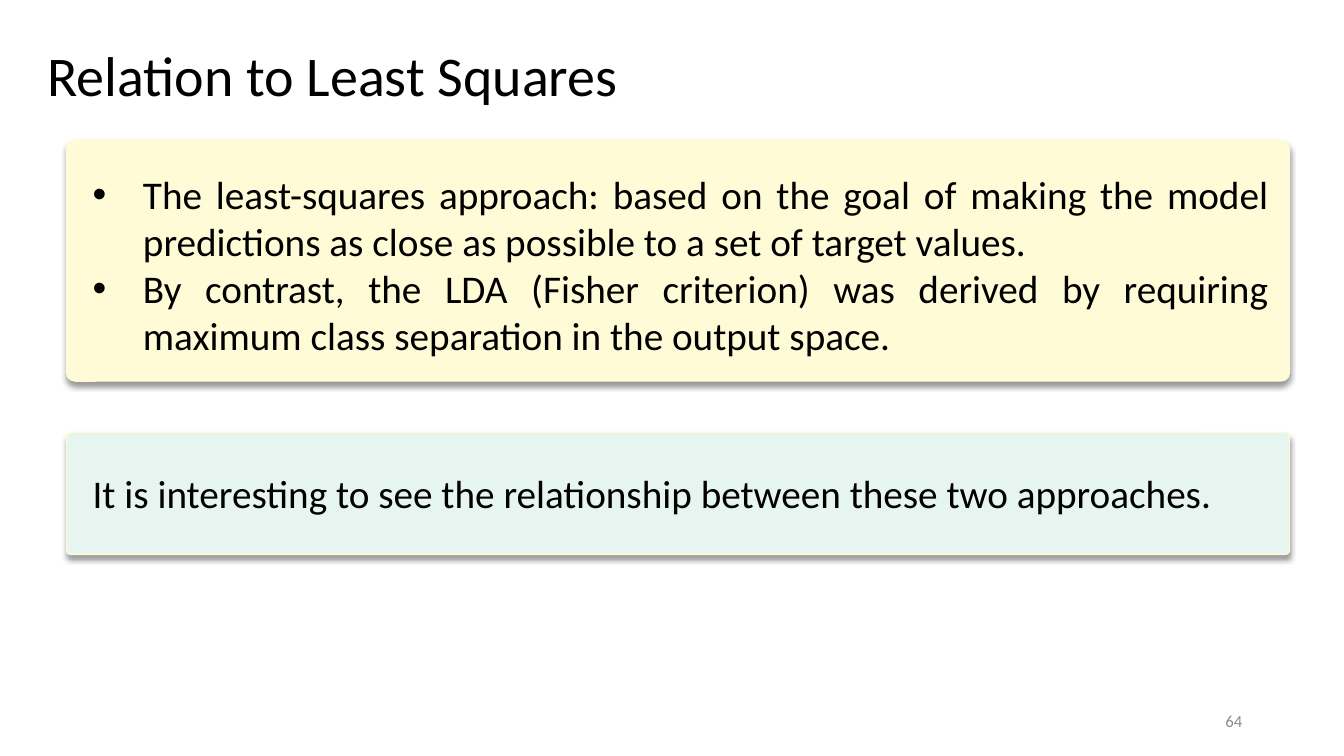
import pptx
import pptx.util
import pptx.oxml
import pptx.oxml.ns
import pptx.dml.color
import pptx.enum.shapes
import pptx.enum.text
from lxml import etree

Inches = pptx.util.Inches
Align = pptx.enum.text.PP_ALIGN
Anchor = pptx.enum.text.MSO_ANCHOR
COLORS = {"text": "000000", "number": "8C8C8C", "yellow": "FFFBD6", "mint": "E6F5F0"}
SHADOW = (
    '<a:outerShdw xmlns:a="http://schemas.openxmlformats.org/drawingml/2006/main" '
    'blurRad="50800" dist="38100" dir="5400000" algn="t" rotWithShape="0">'
    '<a:srgbClr val="000000"><a:alpha val="40000"/></a:srgbClr></a:outerShdw>'
)


def color(name):
    return pptx.dml.color.RGBColor.from_string(COLORS[name])


def format_paragraph(paragraph, size, color_name, alignment):
    paragraph.alignment = alignment
    for run in paragraph.runs:
        run.font.name = "Calibri"
        run.font.size = pptx.util.Pt(size)
        run.font.color.rgb = color(color_name)


presentation = pptx.Presentation()
presentation.slide_width = Inches(13.33)
presentation.slide_height = Inches(7.5)
slide = presentation.slides.add_slide(presentation.slide_layouts[5])

# Title
title = slide.shapes.title
title.left, title.top = Inches(0.37), Inches(0.35)
title.width, title.height = Inches(5.88), Inches(0.77)
title.text_frame.text = "Relation to Least Squares"
title.text_frame.word_wrap = False
title.text_frame.auto_size = pptx.enum.text.MSO_AUTO_SIZE.NONE
title.text_frame.vertical_anchor = Anchor.TOP
format_paragraph(title.text_frame.paragraphs[0], 40, "text", Align.LEFT)

# Panels: fill, top, height, then text top, width, height, bulleted, lines
panels = [
    ("yellow", 1.39, 2.39, 1.64, 11.86, 1.99, True, [
        "The least-squares approach: based on the goal of making the model "
        "predictions as close as possible to a set of target values. ",
        "By contrast, the LDA (Fisher criterion) was derived by requiring "
        "maximum class separation in the output space.",
    ]),
    ("mint", 4.29, 1.21, 4.61, 12.67, 0.57, False, [
        "It is interesting to see the relationship between these two approaches.",
    ]),
]
for fill, top, height, text_top, text_width, text_height, bulleted, lines in panels:
    panel = slide.shapes.add_shape(
        pptx.enum.shapes.MSO_SHAPE.ROUNDED_RECTANGLE,
        Inches(0.66), Inches(top), Inches(12.13), Inches(height))
    panel.adjustments[0] = 0.036
    panel.fill.solid()
    panel.fill.fore_color.rgb = color(fill)
    panel.line.color.rgb = color("yellow")
    panel.line.width = pptx.util.Pt(1)
    panel.shadow.inherit = False
    effects = panel._element.spPr.find(pptx.oxml.ns.qn("a:effectLst"))
    effects.append(pptx.oxml.parse_xml(SHADOW))

    text_box = slide.shapes.add_textbox(
        Inches(0.82), Inches(text_top), Inches(text_width), Inches(text_height))
    text_box.text_frame.word_wrap = True
    text_box.text_frame.text = "\n".join(lines)
    for paragraph in text_box.text_frame.paragraphs:
        if bulleted:
            properties = paragraph._p.get_or_add_pPr()
            properties.set("marL", str(Inches(0.5)))
            properties.set("indent", str(-Inches(0.5)))
            bullet_font = etree.SubElement(properties, pptx.oxml.ns.qn("a:buFont"))
            bullet_font.set("typeface", "Arial")
            bullet = etree.SubElement(properties, pptx.oxml.ns.qn("a:buChar"))
            bullet.set("char", "•")
        format_paragraph(paragraph, 28, "text", Align.JUSTIFY)

# Slide number
number_box = slide.shapes.add_textbox(Inches(9.42), Inches(6.95), Inches(3), Inches(0.4))
number_box.text_frame.word_wrap = True
number_box.text_frame.text = "64"
number_box.text_frame.vertical_anchor = Anchor.MIDDLE
format_paragraph(number_box.text_frame.paragraphs[0], 12, "number", Align.RIGHT)

presentation.save("out.pptx")
